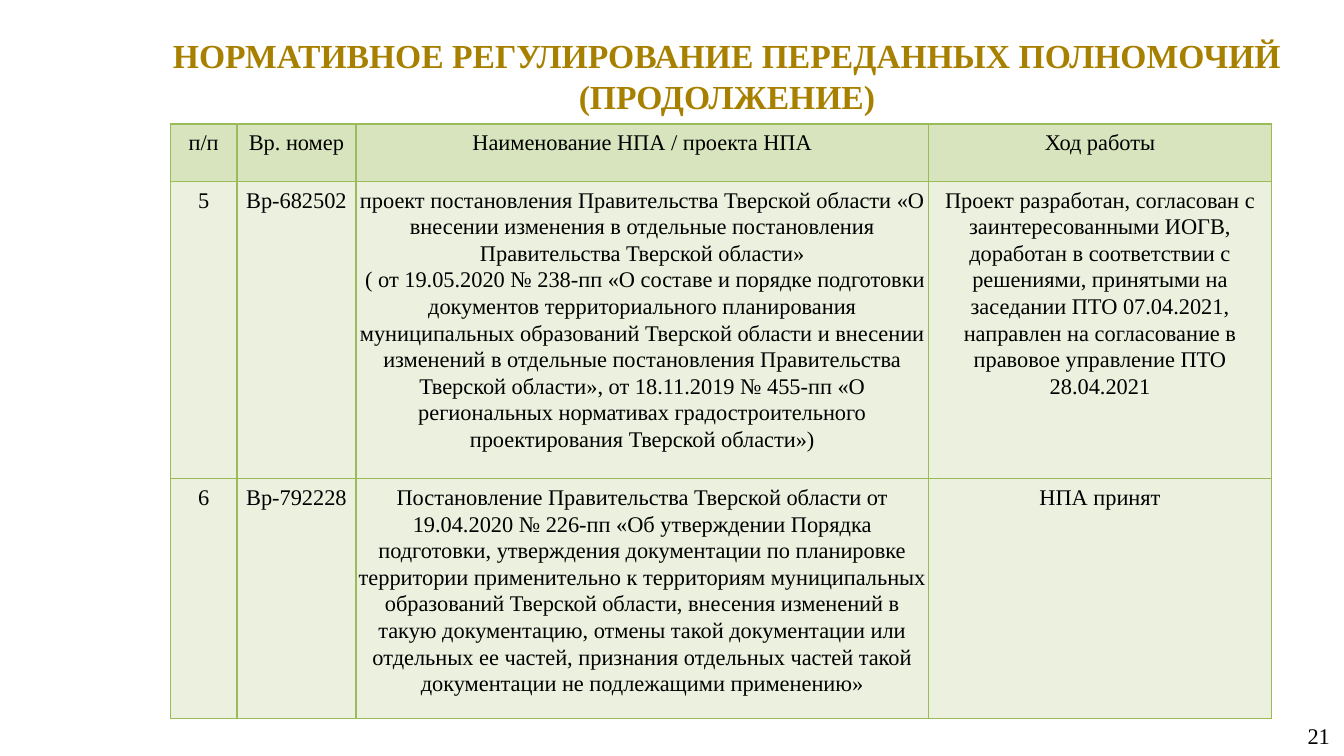
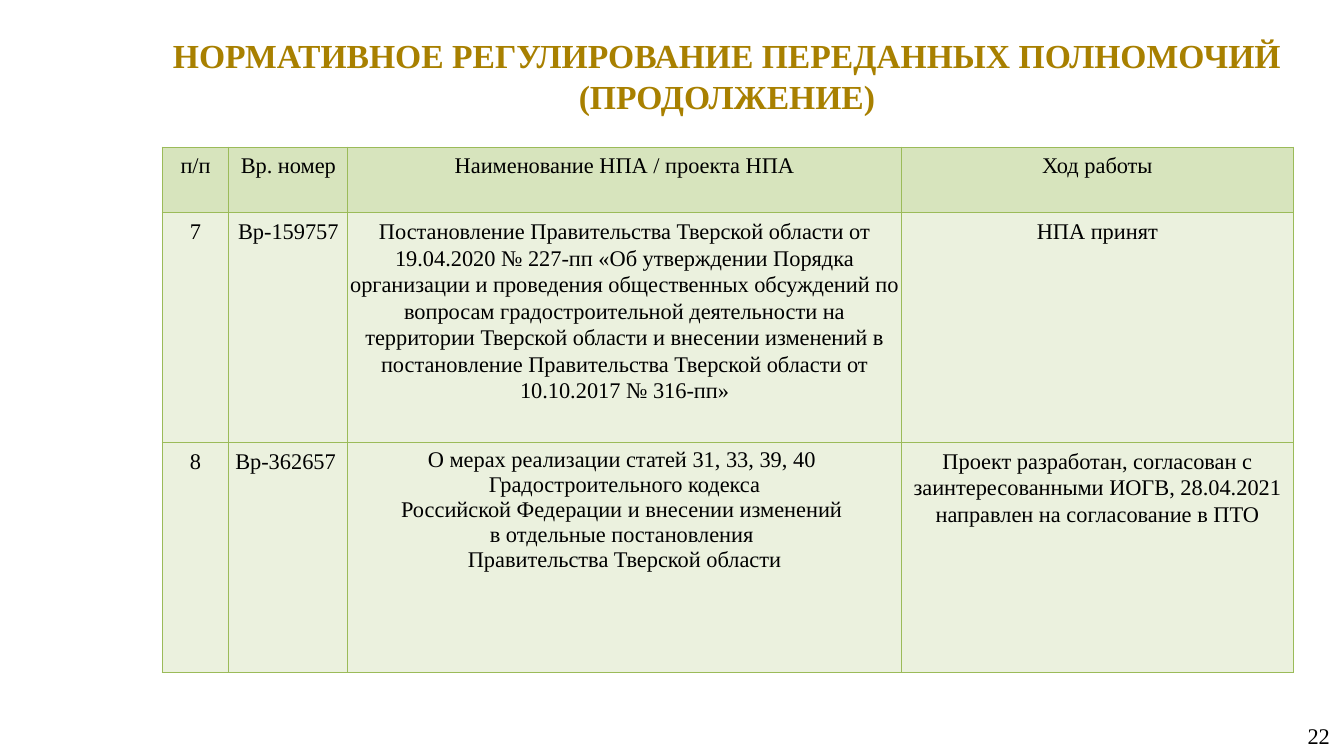
from lxml import etree
from pptx import Presentation
from pptx.dml.color import RGBColor
from pptx.enum.text import MSO_ANCHOR, MSO_AUTO_SIZE, PP_ALIGN
from pptx.oxml.ns import qn
from pptx.util import Inches, Pt

# Shared style
FONT = "Times New Roman"
GOLD, BLACK = "A88000", "000000"
HEAD_FILL, BODY_FILL, BORDER = "D7E4BD", "EBF1DE", "9BBB59"
TITLE = "НОРМАТИВНОЕ РЕГУЛИРОВАНИЕ ПЕРЕДАННЫХ ПОЛНОМОЧИЙ (ПРОДОЛЖЕНИЕ)"
HEADER = ["п/п", "Вр. номер", "Наименование НПА / проекта НПА", "Ход работы"]

# Slide content: a list in a cell is a set of tightly spaced paragraphs
SLIDES = [
    {
        "number": "21", "left": 1.69, "top": 1.23,
        "cols": [0.66, 1.18, 5.68, 3.4], "heights": [0.57, 2.95, 2.38],
        "rows": [
            ["5", "Вр-682502",
             "проект постановления Правительства Тверской области «О внесении "
             "изменения в отдельные постановления Правительства Тверской области»\n"
             " ( от 19.05.2020 № 238-пп «О составе и порядке подготовки документов "
             "территориального планирования муниципальных образований Тверской "
             "области и внесении изменений в отдельные постановления Правительства "
             "Тверской области», от 18.11.2019 № 455-пп «О региональных нормативах "
             "градостроительного проектирования Тверской области»)",
             "Проект разработан, согласован с заинтересованными ИОГВ, доработан в "
             "соответствии с решениями, принятыми на заседании ПТО 07.04.2021, "
             "направлен на согласование в правовое управление ПТО 28.04.2021"],
            ["6", "Вр-792228",
             "Постановление Правительства Тверской области от 19.04.2020 № 226-пп "
             "«Об утверждении Порядка подготовки, утверждения документации по "
             "планировке территории применительно к территориям муниципальных "
             "образований Тверской области, внесения изменений в такую "
             "документацию, отмены такой документации или отдельных ее частей, "
             "признания отдельных частей такой документации не подлежащими "
             "применению»",
             "НПА принят"],
        ],
    },
    {
        "number": "22", "left": 1.61, "top": 1.46,
        "cols": [0.66, 1.18, 5.49, 3.89], "heights": [0.65, 2.28, 2.28],
        "rows": [
            ["7", "Вр-159757",
             "Постановление Правительства Тверской области от 19.04.2020 № 227-пп "
             "«Об утверждении Порядка организации и проведения общественных "
             "обсуждений по вопросам градостроительной деятельности на территории "
             "Тверской области и внесении изменений в постановление Правительства "
             "Тверской области от 10.10.2017 № 316-пп»",
             "НПА принят"],
            ["8", "Вр-362657 ",
             ["О мерах реализации статей 31, 33, 39, 40 ",
              "Градостроительного кодекса",
              "Российской Федерации и внесении изменений ",
              "в отдельные постановления ",
              "Правительства Тверской области"],
             "Проект разработан, согласован с заинтересованными ИОГВ, 28.04.2021 "
             "направлен на согласование в ПТО"],
        ],
    },
]


def add_text(p, text, align, size=16, color=BLACK, bold=False):
    p.alignment = align
    for i, line in enumerate(text.split("\n")):
        if i:
            p.add_line_break()
        r = p.add_run()
        r.text = line
        r.font.name, r.font.size, r.font.bold = FONT, Pt(size), bold
        r.font.color.rgb = RGBColor.from_string(color)


def add_box(s, left, top, width, height):
    tf = s.shapes.add_textbox(
        Inches(left), Inches(top), Inches(width), Inches(height)).text_frame
    tf.word_wrap = True
    tf.margin_left = tf.margin_right = Inches(0.13)
    tf.margin_top = tf.margin_bottom = Inches(0.07)
    return tf


prs = Presentation()
prs.slide_width, prs.slide_height = Inches(13.33), Inches(7.5)

for data in SLIDES:
    s = prs.slides.add_slide(prs.slide_layouts[6])

    # Title
    tf = add_box(s, 1.47, 0.28, 11.48, 0.93)
    tf.auto_size = MSO_AUTO_SIZE.SHAPE_TO_FIT_TEXT
    add_text(tf.paragraphs[0], TITLE, PP_ALIGN.CENTER, 24, GOLD, True)

    # Page number
    tf = add_box(s, 10.21, 7.1, 3.11, 0.4)
    tf.vertical_anchor = MSO_ANCHOR.MIDDLE
    add_text(tf.paragraphs[0], data["number"], PP_ALIGN.RIGHT)

    # Table grid
    rows = [HEADER] + data["rows"]
    table = s.shapes.add_table(
        len(rows), len(HEADER), Inches(data["left"]), Inches(data["top"]),
        Inches(sum(data["cols"])), Inches(sum(data["heights"]))).table
    table.first_row = table.horz_banding = False
    for column, width in zip(table.columns, data["cols"]):
        column.width = Inches(width)
    for row, height in zip(table.rows, data["heights"]):
        row.height = Inches(height)

    # Table cells
    for i, row in enumerate(rows):
        for j, content in enumerate(row):
            cell = table.cell(i, j)
            cell.margin_left = cell.margin_right = Inches(0.02)
            cell.margin_top = cell.margin_bottom = Inches(0.05)
            tcPr = cell._tc.get_or_add_tcPr()
            for side in ("a:lnL", "a:lnR", "a:lnT", "a:lnB"):
                ln = etree.SubElement(tcPr, qn(side), w=str(Pt(0.96)))
                fill = etree.SubElement(ln, qn("a:solidFill"))
                etree.SubElement(fill, qn("a:srgbClr"), val=BORDER)
            cell.fill.solid()
            cell.fill.fore_color.rgb = RGBColor.from_string(
                BODY_FILL if i else HEAD_FILL)

            tight = isinstance(content, list)
            tf = cell.text_frame
            for k, text in enumerate(content if tight else [content]):
                p = tf.add_paragraph() if k else tf.paragraphs[0]
                if not tight:
                    p.line_spacing, p.space_after = 1.07, Pt(8)
                add_text(p, text, PP_ALIGN.CENTER)

prs.save("out.pptx")
